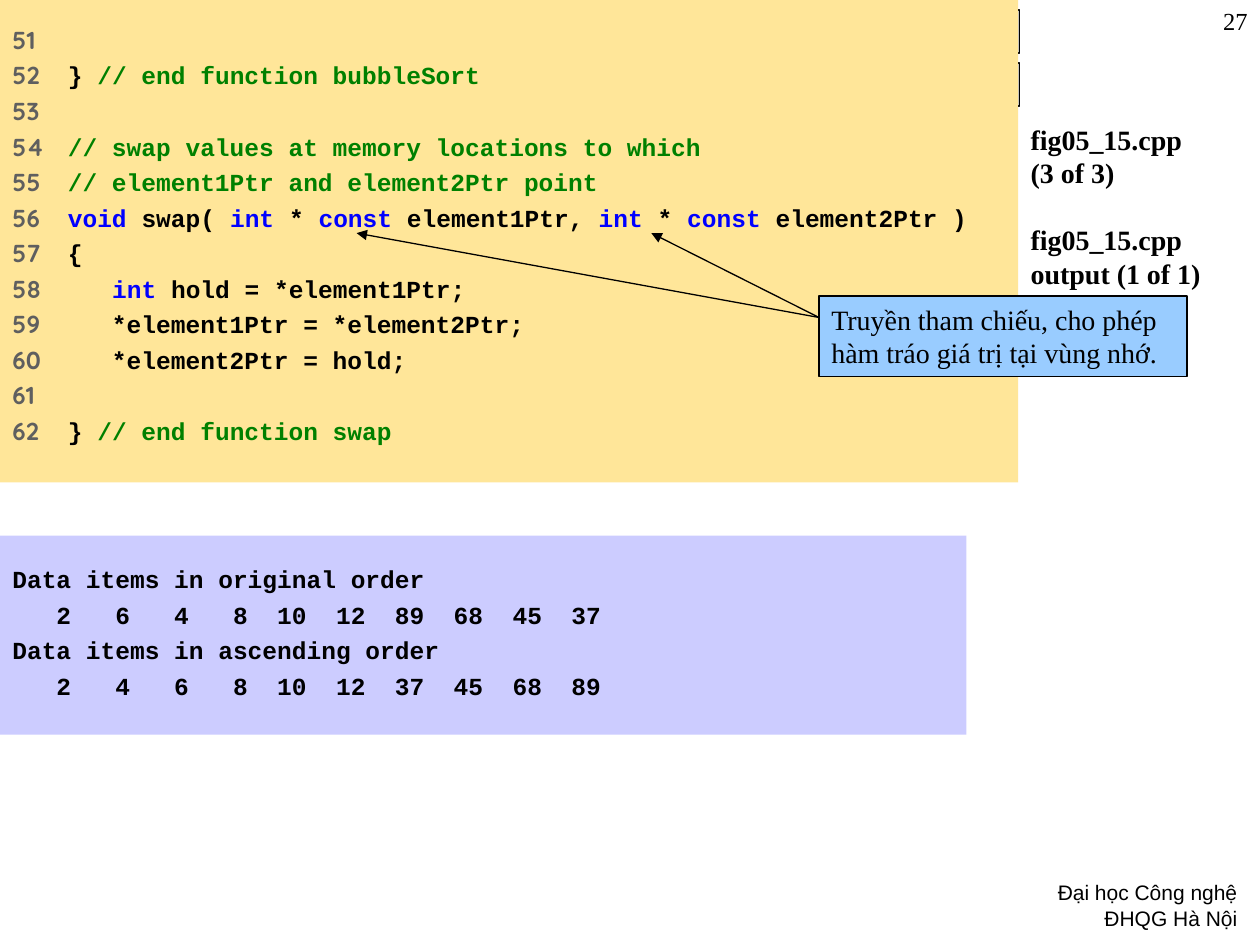
import dataclasses

import pptx
import pptx.dml.color
import pptx.enum.shapes
import pptx.enum.text
import pptx.oxml
import pptx.oxml.ns
import pptx.util
from pptx.util import Inches

SHAPE = pptx.enum.shapes.MSO_SHAPE
ALIGN = pptx.enum.text.PP_ALIGN


@dataclasses.dataclass(frozen=True)
class Theme:
    serif: str = "Times New Roman"
    sans: str = "Arial"
    mono: str = "Courier New"
    number_font: str = "Quicksand"
    black: str = "000000"
    number: str = "5F5F5F"
    keyword: str = "0000FF"
    comment: str = "008000"
    code_fill: str = "FFE699"
    output_fill: str = "CCCCFF"
    callout_fill: str = "99CCFF"
    button_fill: str = "C0C0C0"
    code_size: float = 14
    label_size: float = 16
    footer_size: float = 12
    code_pitch: float = 20.3
    label_pitch: float = 19.2
    footer_pitch: float = 15


THEME = Theme()
KEYWORDS = ("void", "int", "const")
FIRST_LINE = 51
CODE = [
    "",
    "} // end function bubbleSort",
    "",
    "// swap values at memory locations to which",
    "// element1Ptr and element2Ptr point",
    "void swap( int * const element1Ptr, int * const element2Ptr )",
    "{",
    "   int hold = *element1Ptr;",
    "   *element1Ptr = *element2Ptr;",
    "   *element2Ptr = hold;",
    "",
    "} // end function swap",
]
OUTPUT = [
    "Data items in original order",
    "   2   6   4   8  10  12  89  68  45  37",
    "Data items in ascending order",
    "   2   4   6   8  10  12  37  45  68  89",
]


def rgb(value):
    return pptx.dml.color.RGBColor.from_string(value)


def style_font(font, name, size, color, bold=False):
    font.name = name
    font.size = pptx.util.Pt(size)
    font.color.rgb = rgb(color)
    font.bold = bold


def set_text(frame, lines, name, size, pitch=None, bold=False, align=ALIGN.LEFT):
    frame.word_wrap = True
    frame.vertical_anchor = pptx.enum.text.MSO_ANCHOR.TOP
    frame.text = "\n".join(lines)
    for paragraph in frame.paragraphs:
        paragraph.alignment = align
        if pitch:
            paragraph.line_spacing = pptx.util.Pt(pitch)
        for run in paragraph.runs:
            style_font(run.font, name, size, THEME.black, bold)


def add_text(slide, box, lines, name, size, **options):
    shape = slide.shapes.add_textbox(*map(Inches, box))
    set_text(shape.text_frame, lines, name, size, **options)


def add_box(slide, kind, box, fill, outlined=False):
    shape = slide.shapes.add_shape(kind, *map(Inches, box))
    shape.shadow.inherit = False
    shape.fill.solid()
    shape.fill.fore_color.rgb = rgb(fill)
    if outlined:
        shape.line.color.rgb = rgb(THEME.black)
        shape.line.width = pptx.util.Pt(0.75)
    else:
        shape.line.fill.background()
    return shape


def add_arrow(slide, start, end):
    arrow = slide.shapes.add_connector(
        pptx.enum.shapes.MSO_CONNECTOR.STRAIGHT, *map(Inches, start + end))
    arrow.line.color.rgb = rgb(THEME.black)
    arrow.line.width = pptx.util.Pt(0.75)
    properties = arrow.line._get_or_add_ln()
    pptx.oxml.ns.qn("a:tailEnd")
    tail = pptx.oxml.parse_xml(
        f'<a:tailEnd {pptx.oxml.ns.nsdecls("a")} type="triangle"/>')
    properties.append(tail)
    effects = pptx.oxml.parse_xml(f'<a:effectLst {pptx.oxml.ns.nsdecls("a")}/>')
    arrow._element.spPr.append(effects)


def color_code(line):
    """Split a code line into (text, colour) pieces."""
    code, marker, comment = line.partition("//")
    pieces = []
    for index, word in enumerate(code.split(" ")):
        if index:
            pieces.append((" ", THEME.black))
        if word:
            pieces.append((word, THEME.keyword if word in KEYWORDS else THEME.black))
    if marker:
        pieces.append((marker + comment, THEME.comment))
    return pieces


def add_listing(slide, box):
    frame = add_box(slide, SHAPE.RECTANGLE, box, THEME.code_fill).text_frame
    frame.margin_top = Inches(0.15)
    numbers = [str(FIRST_LINE + index) for index in range(len(CODE))]
    set_text(frame, numbers, THEME.number_font, THEME.code_size,
             pitch=THEME.code_pitch, bold=True)
    for paragraph, line in zip(frame.paragraphs, CODE):
        number = paragraph.runs[0]
        number.font.color.rgb = rgb(THEME.number)
        if not line:
            continue
        # Code starts at one tab stop after the line number
        number.text += "\t"
        paragraph._p.get_or_add_pPr().append(pptx.oxml.parse_xml(
            f'<a:tabLst {pptx.oxml.ns.nsdecls("a")}>'
            f'<a:tab pos="{Inches(0.44)}" algn="l"/></a:tabLst>'))
        for text, color in color_code(line):
            run = paragraph.add_run()
            run.text = text
            style_font(run.font, THEME.mono, THEME.code_size, color, True)


def add_title(slide, box, groups):
    title = slide.shapes.title
    title.left, title.top, title.width, title.height = map(Inches, box)
    set_text(title.text_frame, groups, THEME.serif, THEME.label_size,
             pitch=THEME.label_pitch, bold=True)
    title.text_frame.auto_size = pptx.enum.text.MSO_AUTO_SIZE.NONE
    for paragraph in title.text_frame.paragraphs[1:]:
        paragraph.space_before = pptx.util.Pt(THEME.label_pitch)


def main():
    presentation = pptx.Presentation()
    presentation.slide_width, presentation.slide_height = Inches(10), Inches(7.5)
    slide = presentation.slides.add_slide(presentation.slide_layouts[5])

    # Footer, navigation buttons and page number
    add_text(slide, (7.75, 6.92, 2.17, 0.5), ["Đại học Công nghệ\vĐHQG Hà Nội"],
             THEME.sans, THEME.footer_size, pitch=THEME.footer_pitch, align=ALIGN.RIGHT)
    for top, rotation in ((0.08, 90), (0.5, 270)):
        button = add_box(slide, SHAPE.ACTION_BUTTON_BACK_OR_PREVIOUS,
                         (7.75, top, 0.34, 0.34), THEME.button_fill, outlined=True)
        button.rotation = rotation
    add_text(slide, (9.5, 0, 0.5, 0.5), ["27"], THEME.serif, THEME.code_size,
             align=ALIGN.RIGHT)

    # File names
    add_title(slide, (8.08, 0.92, 1.92, 5.25),
              ["fig05_15.cpp\v(3 of 3)", "fig05_15.cpp\voutput (1 of 1)"])

    # Code listing and program output
    add_listing(slide, (0, 0, 8.08, 3.83))
    output = add_box(slide, SHAPE.RECTANGLE, (0, 4.25, 7.67, 1.58), THEME.output_fill)
    output.text_frame.margin_top = Inches(0.18)
    set_text(output.text_frame, OUTPUT, THEME.mono, THEME.code_size,
             pitch=THEME.code_pitch, bold=True)

    # Callout with arrows to both const pointers
    callout = add_box(slide, SHAPE.RECTANGLE, (6.5, 2.35, 2.92, 0.64),
                      THEME.callout_fill, outlined=True)
    set_text(callout.text_frame,
             ["Truyền tham chiếu, cho phép hàm tráo giá trị tại vùng nhớ."],
             THEME.serif, THEME.label_size, pitch=THEME.label_pitch)
    for target in (5.17, 2.83):
        add_arrow(slide, (6.5, 2.52), (target, 1.85))

    presentation.save("out.pptx")


if __name__ == "__main__":
    main()
